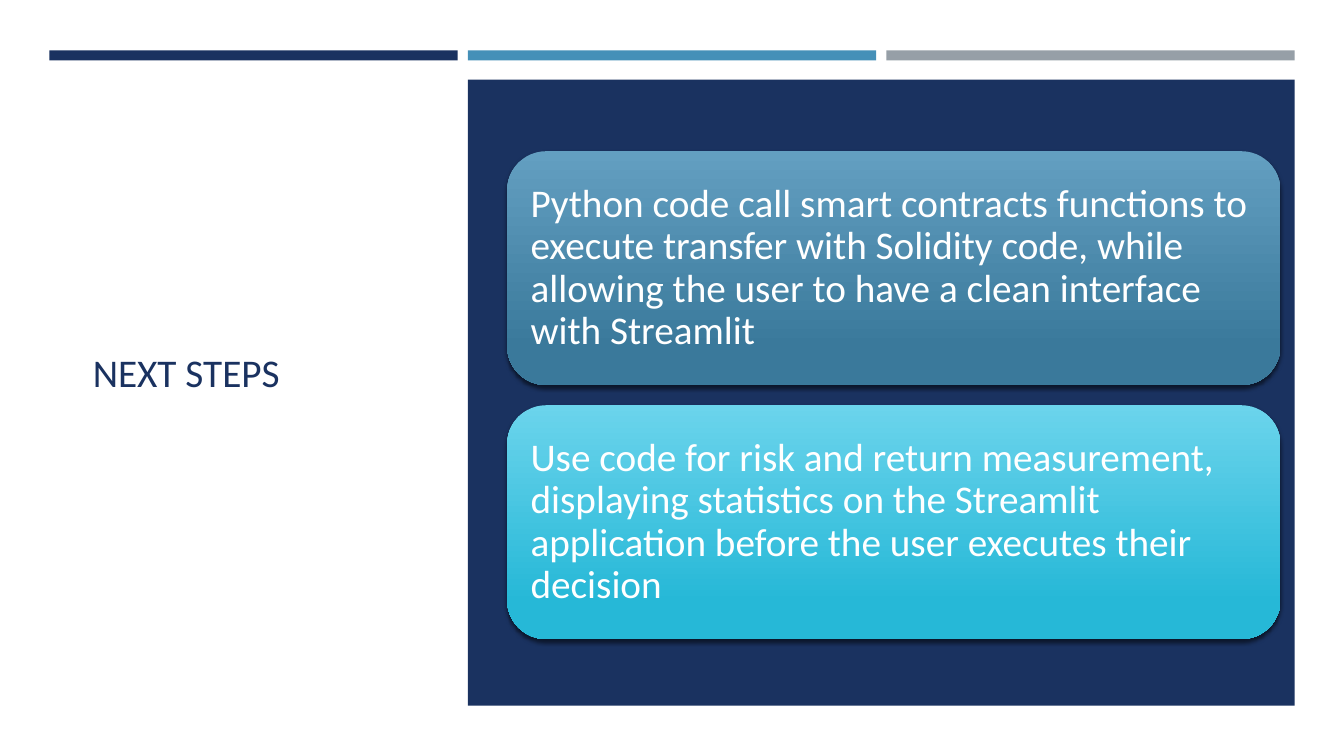
from lxml import etree
from pptx import Presentation
from pptx.dml.color import RGBColor
from pptx.enum.shapes import MSO_SHAPE
from pptx.enum.text import MSO_ANCHOR, PP_ALIGN
from pptx.oxml.ns import qn
from pptx.util import Inches, Pt

RECTANGLE = MSO_SHAPE.RECTANGLE
ROUNDED = MSO_SHAPE.ROUNDED_RECTANGLE
MIDDLE = MSO_ANCHOR.MIDDLE
LEFT = PP_ALIGN.LEFT

NAVY = RGBColor(0x1A, 0x32, 0x60)
BLUE = RGBColor(0x45, 0x90, 0xB8)
GRAY = RGBColor(0x96, 0x9F, 0xA7)
WHITE = RGBColor(0xFF, 0xFF, 0xFF)
STEEL_TOP = RGBColor(0x63, 0x9F, 0xC1)
STEEL_BOTTOM = RGBColor(0x3A, 0x79, 0x9B)
CYAN_TOP = RGBColor(0x6B, 0xD4, 0xEC)
CYAN_BOTTOM = RGBColor(0x26, 0xB8, 0xD7)

TITLE = "NEXT STEPS"
STEPS = [
    ("Python code call smart contracts functions to execute transfer with "
     "Solidity code, while allowing the user to have a clean interface with "
     "Streamlit", STEEL_TOP, STEEL_BOTTOM),
    ("Use code for risk and return measurement, displaying statistics on the "
     "Streamlit application before the user executes their decision",
     CYAN_TOP, CYAN_BOTTOM),
]
BAR_COLORS = [NAVY, BLUE, GRAY]

BAR_LEFT, BAR_TOP, BAR_WIDTH, BAR_HEIGHT, BAR_PITCH = 0.49, 0.5, 4.05, 0.1, 4.15
CARD_LEFT, CARD_TOP, CARD_WIDTH, CARD_HEIGHT, CARD_PITCH = 5.03, 1.5, 7.67, 2.32, 2.52
CARD_INSET = 0.12


def add_block(slide, kind, left, top, width, height):
    """Add an unlined, shadowless shape measured in inches."""
    shape = slide.shapes.add_shape(
        kind, Inches(left), Inches(top), Inches(width), Inches(height))
    shape.line.fill.background()
    shape.shadow.inherit = False
    return shape


def fill_solid(fill, color):
    """Give a fill one solid colour."""
    fill.solid()
    fill.fore_color.rgb = color


def fill_downward(shape, top_color, bottom_color):
    """Shade a shape from its top colour to its bottom colour."""
    shape.fill.gradient()
    shape.fill.gradient_angle = 270
    stops = zip(shape.fill.gradient_stops, (top_color, bottom_color), (0, 0.84))
    for stop, color, position in stops:
        stop.color.rgb = color
        stop.position = position


def add_drop_shadow(shape):
    """Cast a soft black shadow straight down."""
    effects = shape.element.spPr.find(qn("a:effectLst"))
    shadow = etree.SubElement(
        effects, qn("a:outerShdw"), blurRad=str(Pt(3)), dist=str(Pt(2)),
        dir="5400000", algn="ctr", rotWithShape="0")
    color = etree.SubElement(shadow, qn("a:srgbClr"), val="000000")
    etree.SubElement(color, qn("a:alpha"), val="55000")


def write_text(shape, text, color):
    """Write one left-aligned, vertically centred paragraph."""
    frame = shape.text_frame
    frame.text = text
    frame.word_wrap = True
    frame.vertical_anchor = MIDDLE
    paragraph = frame.paragraphs[0]
    paragraph.alignment = LEFT
    paragraph.line_spacing = 0.9
    paragraph.font.name = "Calibri"
    paragraph.font.size = Pt(28)
    paragraph.font.color.rgb = color


def add_card(slide, index, text, top_color, bottom_color):
    """Add one rounded card that holds a step."""
    card = add_block(slide, ROUNDED, CARD_LEFT, CARD_TOP + index * CARD_PITCH,
                     CARD_WIDTH, CARD_HEIGHT)
    fill_downward(card, top_color, bottom_color)
    add_drop_shadow(card)
    write_text(card, text, WHITE)
    frame = card.text_frame
    frame.margin_left = frame.margin_right = Inches(CARD_INSET)
    frame.margin_top = frame.margin_bottom = Inches(CARD_INSET)


def main():
    """Build the next-steps slide."""
    presentation = Presentation()
    presentation.slide_width = Inches(13.33)
    presentation.slide_height = Inches(7.5)
    slide = presentation.slides.add_slide(presentation.slide_layouts[5])
    fill_solid(slide.background.fill, WHITE)

    title = slide.shapes.title
    title.left, title.top = Inches(0.82), Inches(1.14)
    title.width, title.height = Inches(3.34), Inches(5.15)
    write_text(title, TITLE, NAVY)

    for index, color in enumerate(BAR_COLORS):
        bar = add_block(slide, RECTANGLE, BAR_LEFT + index * BAR_PITCH, BAR_TOP,
                        BAR_WIDTH, BAR_HEIGHT)
        fill_solid(bar.fill, color)

    panel = add_block(slide, RECTANGLE, BAR_LEFT + BAR_PITCH, 0.79,
                      BAR_PITCH + BAR_WIDTH, 6.21)
    fill_solid(panel.fill, NAVY)

    for index, step in enumerate(STEPS):
        add_card(slide, index, *step)

    presentation.save("out.pptx")


if __name__ == "__main__":
    main()
